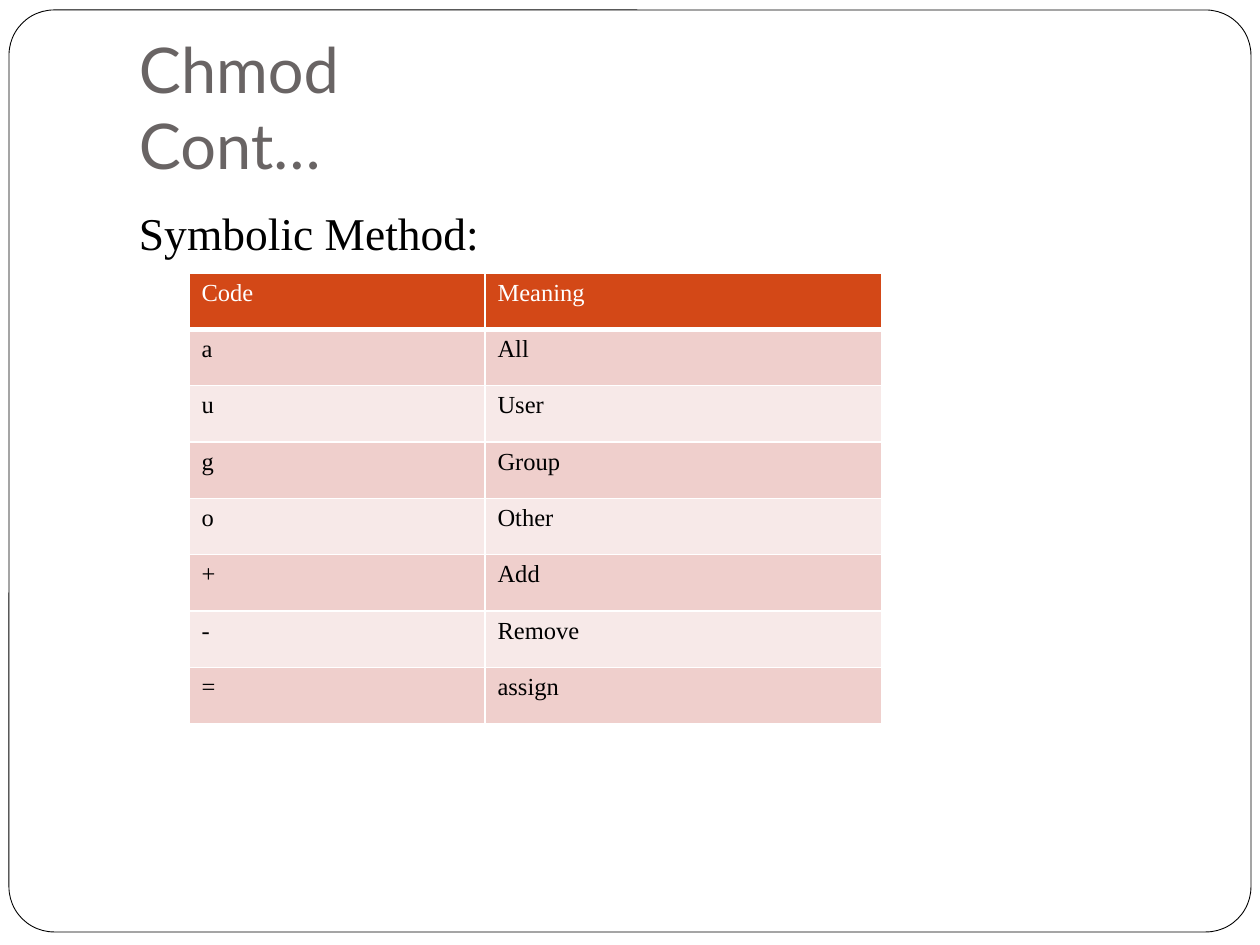
from dataclasses import dataclass

from lxml.etree import SubElement
from pptx import Presentation
from pptx.dml.color import RGBColor as RGB
from pptx.enum.shapes import MSO_SHAPE as SHAPE
from pptx.enum.text import MSO_ANCHOR as ANCHOR
from pptx.oxml.ns import qn
from pptx.util import Pt

PX = 914400 / 126  # EMU in one px


@dataclass(frozen=True)
class Theme:
    white: str = "FFFFFF"
    ink: str = "000000"
    title: str = "696464"
    header: str = "D34817"
    bands: tuple = ("EFCFCC", "F7E9E8")
    title_font: str = "Lato"
    body_font: str = "Times New Roman"
    title_size: int = 36
    body_size: int = 26
    table_size: int = 14


THEME = Theme()
CODES = [
    ("Code", "Meaning"),
    ("a", "All"),
    ("u", "User"),
    ("g", "Group"),
    ("o", "Other"),
    ("+", "Add"),
    ("-", "Remove"),
    ("=", "assign"),
]


def px(*lengths):
    return [round(length * PX) for length in lengths]


def write(frame, text, *, size, color, font=THEME.body_font, anchor=ANCHOR.TOP,
          insets=(13, 6, 13, 6), before=0):
    frame.word_wrap = True
    frame.vertical_anchor = anchor
    (frame.margin_left, frame.margin_top,
     frame.margin_right, frame.margin_bottom) = px(*insets)
    paragraph = frame.paragraphs[0]
    paragraph.text = text
    paragraph.space_before = Pt(before)
    for run in paragraph.runs:
        run.font.name = font
        run.font.size = Pt(size)
        run.font.color.rgb = RGB.from_string(color)


def draw_frame(slide, box):
    frame = slide.shapes.add_shape(SHAPE.ROUNDED_RECTANGLE, *px(*box))
    frame.adjustments[0] = 0.049
    frame.shadow.inherit = False
    frame.fill.solid()
    frame.fill.fore_color.rgb = RGB.from_string(THEME.white)
    frame.line.color.rgb = RGB.from_string(THEME.ink)
    frame.line.width = Pt(0.5)


def draw_text(slide, box, text, **style):
    write(slide.shapes.add_textbox(*px(*box)).text_frame, text, **style)


def border_cell(cell, bottom):
    properties = cell._tc.get_or_add_tcPr()
    for side, width in (("L", 1), ("R", 1), ("T", 1), ("B", bottom)):
        line = SubElement(properties, qn(f"a:ln{side}"), w=str(Pt(width)))
        fill = SubElement(line, qn("a:solidFill"))
        SubElement(fill, qn("a:srgbClr"), val=THEME.white)


def draw_codes(slide, box, column_widths):
    table = slide.shapes.add_table(len(CODES), len(column_widths), *px(*box)).table
    for column, width in zip(table.columns, px(*column_widths)):
        column.width = width
    for r, entries in enumerate(CODES):
        is_header = r == 0
        fill = THEME.header if is_header else THEME.bands[(r - 1) % 2]
        for c, entry in enumerate(entries):
            cell = table.cell(r, c)
            write(cell.text_frame, entry, size=THEME.table_size,
                  color=THEME.white if is_header else THEME.ink, insets=(9, 5, 9, 5))
            border_cell(cell, bottom=3 if is_header else 1)
            cell.fill.solid()
            cell.fill.fore_color.rgb = RGB.from_string(fill)


def draw_chmod_slide(slide, box):
    left, top, width, height = box
    # Rounded page border
    draw_frame(slide, (left + 9, top + 10, width - 18, height - 23))
    # Title and subheading share one left edge
    draw_text(slide, (left + 126, top + 38, 1071, 157), "Chmod\vCont…",
              size=THEME.title_size, color=THEME.title, font=THEME.title_font,
              anchor=ANCHOR.BOTTOM, insets=(13, 6, 13, 13))
    draw_text(slide, (left + 126, top + 199, 1071, 630), "Symbolic Method:",
              size=THEME.body_size, color=THEME.ink, before=5.8)
    # Symbol table
    draw_codes(slide, (left + 189, top + 273, 693, 451), (296, 397))


def main():
    deck = Presentation()
    deck.slide_width, deck.slide_height = px(1260, 945)
    slide = deck.slides.add_slide(deck.slide_layouts[6])
    draw_chmod_slide(slide, (0, 0, 1260, 945))
    deck.save("out.pptx")


if __name__ == "__main__":
    main()
